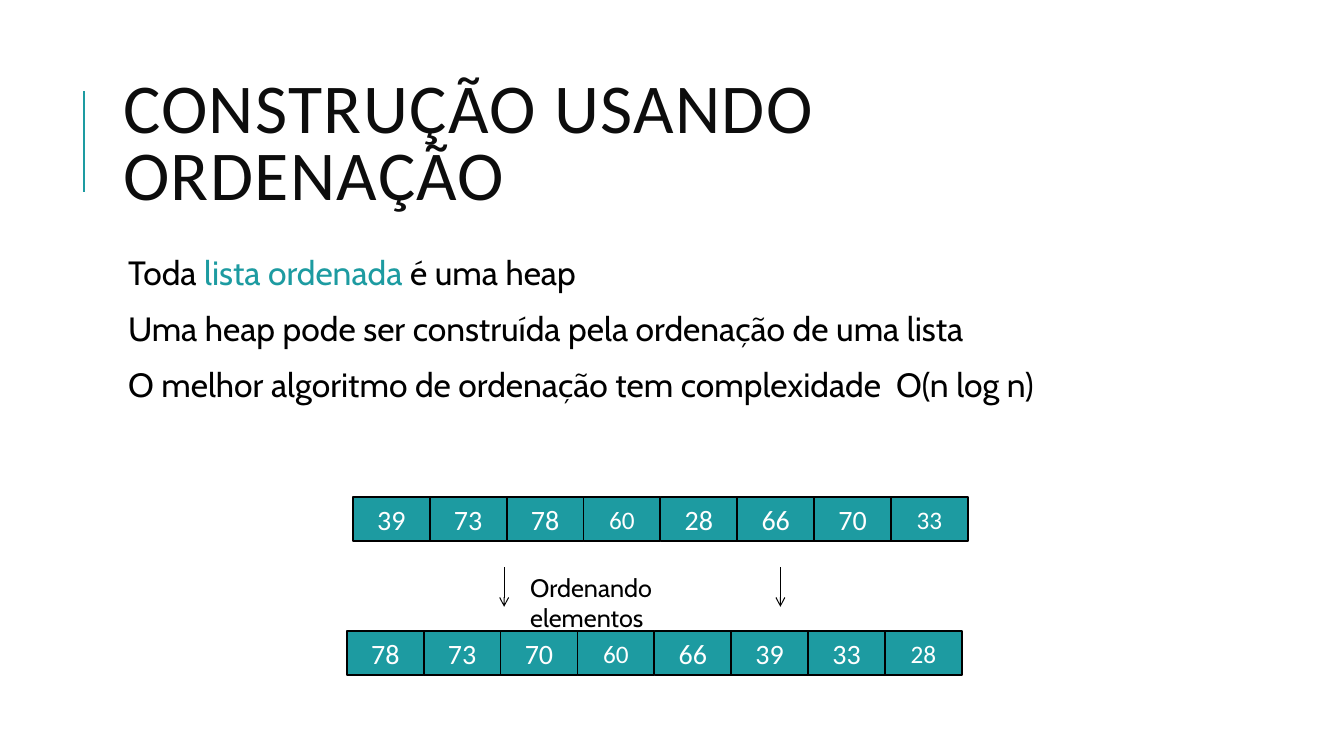
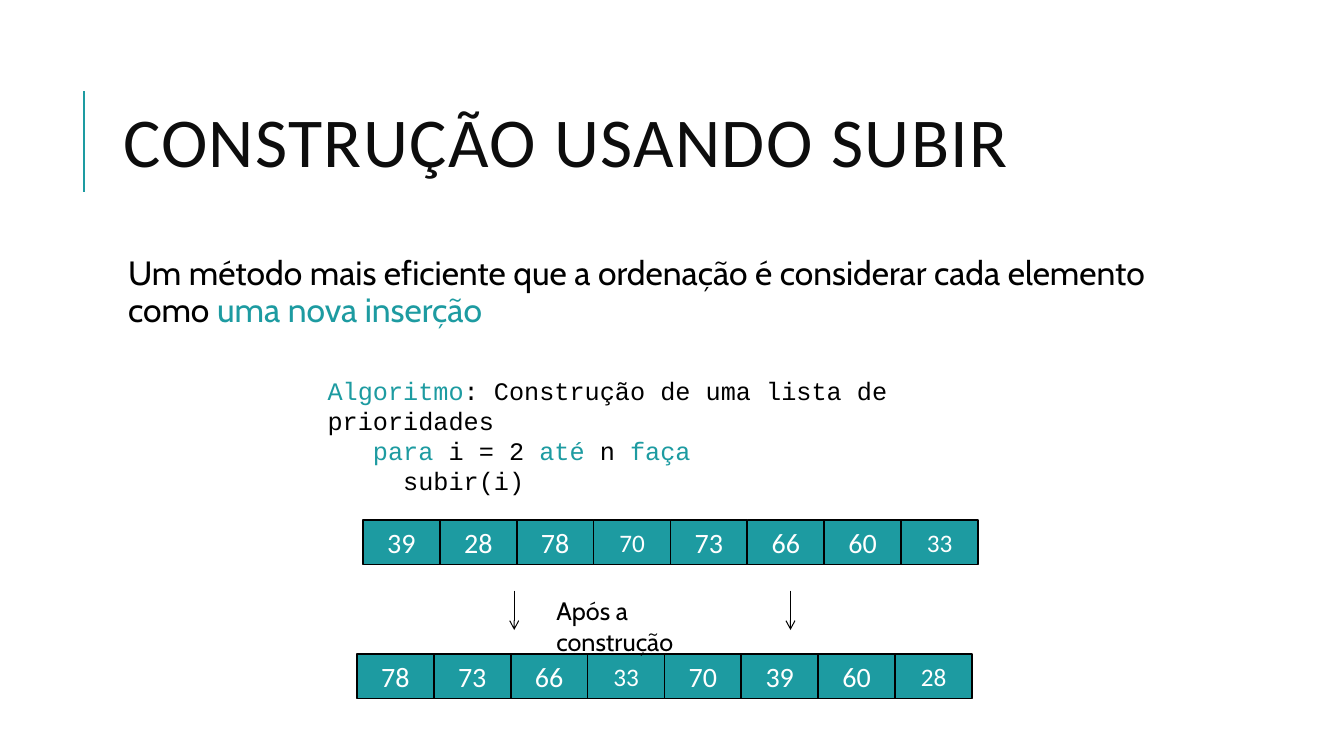
from pptx import Presentation
from pptx.dml.color import RGBColor
from pptx.enum import shapes, text
from pptx.oxml import ns
from pptx.util import Inches, Pt
from lxml import etree

TEAL = RGBColor(0x1D, 0x9B, 0xA1)
BLACK = RGBColor(0, 0, 0)
WHITE = RGBColor(0xFF, 0xFF, 0xFF)
TITLE_INK = RGBColor(0x0D, 0x0D, 0x0D)
TITLE_FONT, BODY_FONT, CODE_FONT = "Calibri", "Cabin", "Courier New"
ROW_WIDTH, CELL_HEIGHT = 6.1, 0.44


def set_font(font, name, size, color):
    """Set the face, size and colour of a font."""
    font.name, font.size = name, Pt(size)
    font.color.rgb = color


def add_line(slide, start, end, color, width, arrow=False):
    """Draw a straight line, optionally with an arrowhead at its end."""
    line = slide.shapes.add_connector(
        shapes.MSO_CONNECTOR.STRAIGHT, *map(Inches, start + end))
    line.line.color.rgb = color
    line.line.width = Pt(width)
    if arrow:
        etree.SubElement(line.line._get_or_add_ln(), ns.qn("a:tailEnd"), type="arrow")
    etree.SubElement(line._element.spPr, ns.qn("a:effectLst"))


def add_text(slide, box, paragraphs, font_name, size):
    """Place paragraphs, each a list of (wording, colour) pairs."""
    frame = slide.shapes.add_textbox(*map(Inches, box)).text_frame
    frame.word_wrap = True
    for index, parts in enumerate(paragraphs):
        paragraph = frame.paragraphs[0] if index == 0 else frame.add_paragraph()
        set_font(paragraph.font, font_name, size, BLACK)
        for wording, color in parts:
            run = paragraph.add_run()
            run.text = wording
            if color != BLACK:
                run.font.color.rgb = color
    return frame


def add_titled_slide(deck, heading):
    """Add a slide with the shared title style and accent line."""
    slide = deck.slides.add_slide(deck.slide_layouts[5])
    add_line(slide, (0.83, 1.9), (0.83, 0.9), TEAL, 1.5)
    title = slide.shapes.title
    title.left, title.top, title.width, title.height = map(
        Inches, (1.12, 0.64, 10.63, 1.64))
    frame = title.text_frame
    frame.text = heading
    frame.word_wrap = True
    frame.auto_size = text.MSO_AUTO_SIZE.NONE
    frame.vertical_anchor = text.MSO_ANCHOR.MIDDLE
    paragraph = frame.paragraphs[0]
    paragraph.alignment = text.PP_ALIGN.LEFT
    paragraph.line_spacing = 0.8
    set_font(paragraph.font, TITLE_FONT, 50, TITLE_INK)
    paragraph.runs[0]._r.get_or_add_rPr().set("spc", "100")
    return slide


def add_body(slide, paragraphs):
    """Place the statements below the title."""
    frame = add_text(slide, (1.12, 2.5, 10.63, 4.4), paragraphs, BODY_FONT, 24)
    frame.margin_left = Inches(0.15)
    frame.margin_top = frame.margin_right = frame.margin_bottom = Inches(0.05)
    for index, paragraph in enumerate(frame.paragraphs):
        paragraph.line_spacing = 0.9
        paragraph.space_before = Pt(12 if index else 0)
        paragraph.space_after = Pt(2)


def add_array(slide, left, top, values):
    """Draw a row of equal cells; every fourth value is set smaller."""
    pitch = ROW_WIDTH / len(values)
    for index, value in enumerate(values):
        cell = slide.shapes.add_shape(
            shapes.MSO_SHAPE.RECTANGLE, Inches(left + index * pitch), Inches(top),
            Inches(pitch), Inches(CELL_HEIGHT))
        cell.shadow.inherit = False
        cell.fill.solid()
        cell.fill.fore_color.rgb = TEAL
        cell.line.color.rgb = BLACK
        cell.line.width = Pt(1.25)
        frame = cell.text_frame
        frame.text = str(value)
        frame.vertical_anchor = text.MSO_ANCHOR.MIDDLE
        paragraph = frame.paragraphs[0]
        paragraph.alignment = text.PP_ALIGN.CENTER
        set_font(paragraph.font, TITLE_FONT, 18 if index % 4 == 3 else 20, WHITE)


def add_transformation(slide, left, top, before, after, label, label_left, label_width):
    """Show an array before and after a step, with arrows and a label between."""
    add_array(slide, left + 0.06, top, before)
    add_array(slide, left, top + 1.33, after)
    for offset in (1.56, 4.3):
        x = left + offset
        add_line(slide, (x, top + 0.7), (x, top + 1.09), BLACK, 0.75, arrow=True)
    add_text(slide, (left + label_left, top + 0.7, label_width, 0.4),
             [[(label, BLACK)]], BODY_FONT, 18)


def build_sorting_slide(deck):
    """Build the slide on construction by sorting."""
    slide = add_titled_slide(deck, "CONSTRUÇÃO USANDO ORDENAÇÃO")
    add_body(slide, [
        [("Toda ", BLACK), ("lista ordenada ", TEAL), ("é uma heap", BLACK)],
        [("Uma heap pode ser construída pela ordenação de uma lista", BLACK)],
        [("O melhor algoritmo de ordenação tem complexidade  O(n log n)", BLACK)],
    ])
    add_transformation(
        slide, 3.44, 4.93, (39, 73, 78, 60, 28, 66, 70, 33),
        (78, 73, 70, 60, 66, 39, 33, 28), "Ordenando elementos", 1.72, 2.43)


def build_insertion_slide(deck):
    """Build the slide on construction by repeated insertion."""
    slide = add_titled_slide(deck, "CONSTRUÇÃO USANDO SUBIR")
    add_body(slide, [
        [("Um método mais eficiente que a ordenação é considerar cada elemento como ",
          BLACK), ("uma nova inserção", TEAL)],
    ])
    add_transformation(
        slide, 3.54, 5.16, (39, 28, 78, 70, 73, 66, 60, 33),
        (78, 73, 66, 33, 70, 39, 60, 28), "Após a construção", 1.88, 2.03)
    add_text(slide, (3.15, 3.67, 6.99, 1.01), [
        [("Algoritmo", TEAL), (": Construção de uma lista de prioridades", BLACK)],
        [("   ", BLACK), ("para", TEAL), (" i = 2 ", BLACK), ("até", TEAL),
         (" n ", BLACK), ("faça", TEAL)],
        [("     subir(i)", BLACK)],
    ], CODE_FONT, 18)


def main():
    """Build and save the deck."""
    deck = Presentation()
    deck.slide_width, deck.slide_height = Inches(13.33), Inches(7.5)
    build_sorting_slide(deck)
    build_insertion_slide(deck)
    deck.save("out.pptx")


if __name__ == "__main__":
    main()
